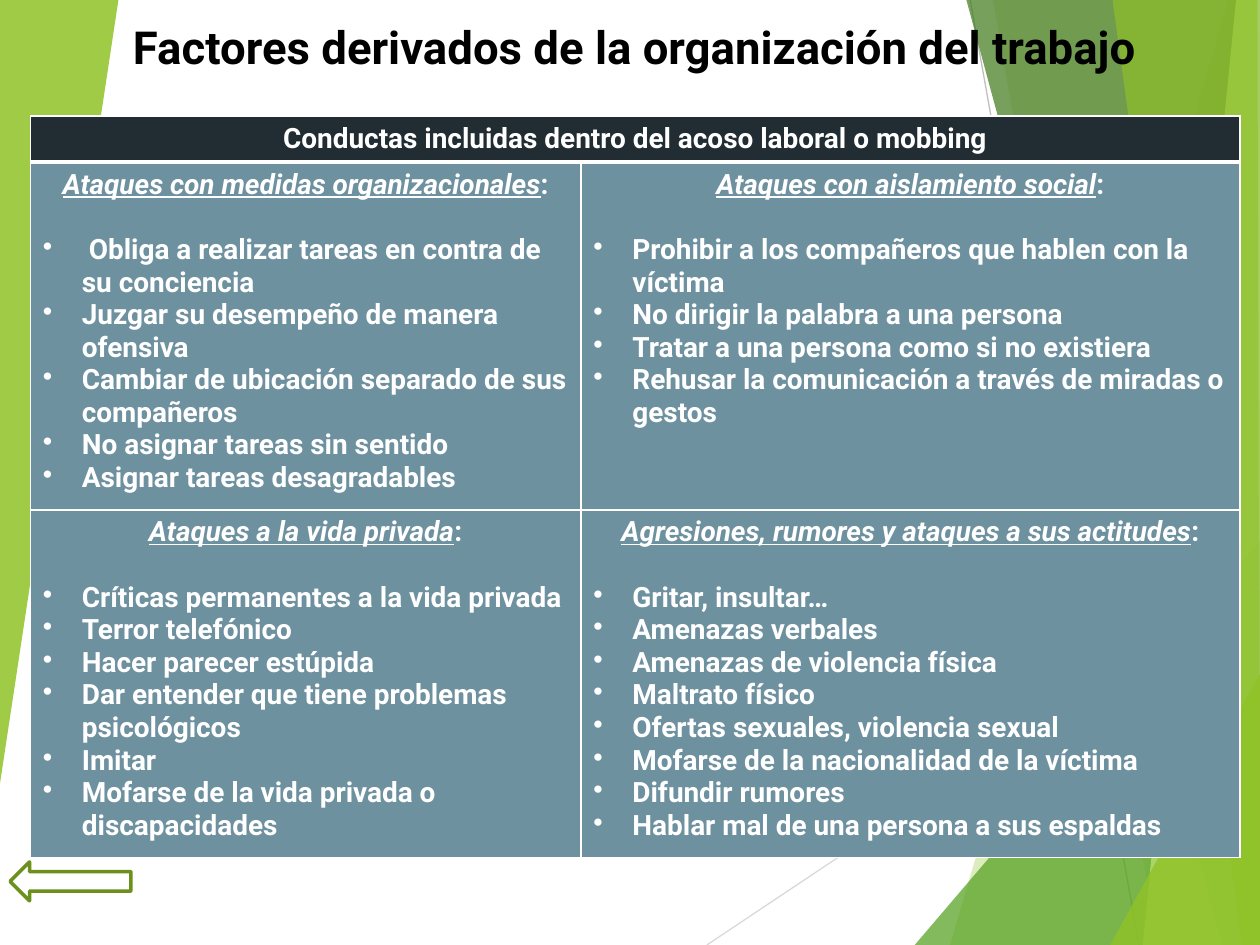
from lxml import etree
from pptx import Presentation
from pptx.dml.color import RGBColor
from pptx.enum.shapes import MSO_CONNECTOR, MSO_SHAPE
from pptx.enum.text import MSO_ANCHOR, PP_ALIGN
from pptx.oxml.ns import qn
from pptx.util import Inches, Pt

STRAIGHT = MSO_CONNECTOR.STRAIGHT
LEFT_ARROW = MSO_SHAPE.LEFT_ARROW
MIDDLE = MSO_ANCHOR.MIDDLE
CENTER = PP_ALIGN.CENTER

FONT = "Roboto"
BLACK = RGBColor(0x00, 0x00, 0x00)
WHITE = RGBColor(0xFF, 0xFF, 0xFF)
LIME = RGBColor(0x90, 0xC2, 0x26)
GREEN = RGBColor(0x54, 0xA0, 0x21)
FOREST = RGBColor(0x3F, 0x78, 0x19)
PALE_LIME = RGBColor(0xC0, 0xE4, 0x74)
OLIVE = RGBColor(0x6B, 0x90, 0x1C)
SILVER = RGBColor(0xD9, 0xD9, 0xD9)
GREY = RGBColor(0xBF, 0xBF, 0xBF)
CHARCOAL = RGBColor(0x21, 0x2D, 0x32)
SLATE = RGBColor(0x6E, 0x91, 0xA0)

W, H = 10, 7.5
TITLE = "Factores derivados de la organización del trabajo"
HEADER = "Conductas incluidas dentro del acoso laboral o mobbing"
CONDUCTS = [
    [
        ("Ataques con medidas organizacionales", [
            " Obliga a realizar tareas en contra de su conciencia",
            "Juzgar su desempeño de manera ofensiva",
            "Cambiar de ubicación separado de sus compañeros",
            "No asignar tareas sin sentido",
            "Asignar tareas desagradables",
        ]),
        ("Ataques con aislamiento social", [
            "Prohibir a los compañeros que hablen con la víctima",
            "No dirigir la palabra a una persona",
            "Tratar a una persona como si no existiera",
            "Rehusar la comunicación a través de miradas o gestos",
        ]),
    ],
    [
        ("Ataques a la vida privada", [
            "Críticas permanentes a la vida privada",
            "Terror telefónico",
            "Hacer parecer estúpida",
            "Dar entender que tiene problemas psicológicos",
            "Imitar",
            "Mofarse de la vida privada o discapacidades",
        ]),
        ("Agresiones, rumores y ataques a sus actitudes", [
            "Gritar, insultar…",
            "Amenazas verbales",
            "Amenazas de violencia física",
            "Maltrato físico",
            "Ofertas sexuales, violencia sexual",
            "Mofarse de la nacionalidad de la víctima",
            "Difundir rumores",
            "Hablar mal de una persona a sus espaldas",
        ]),
    ],
]
COLUMNS = [4.37, 5.23]
ROWS = [0.36, 2.68, 2.68]

RAYS = [((5.61, H), (W, 4.57), SILVER), ((7.7, 0), (9.04, H), GREY)]
FACETS = [
    ([(9.75, 0), (7.54, H), (W, H), (W, 0)], LIME, 30),
    ([(7.88, 0), (9.19, H), (W, H), (W, 0)], LIME, 20),
    ([(7.26, H), (W, 4.29), (W, H)], GREEN, 72),
    ([(7.67, 0), (9.7, H), (W, H), (W, 0)], FOREST, 70),
    ([(9.81, 0), (9.07, H), (W, H), (W, 0)], PALE_LIME, 70),
    ([(8.83, 0), (9.86, H), (W, H), (9.98, 0)], LIME, 65),
    ([(8.81, H), (W, 5.35), (W, H)], LIME, 80),
    ([(0, 0), (0.94, 0), (0, 6.22)], LIME, 85),
]


def add_ray(slide, start, end, color):
    ray = slide.shapes.add_connector(STRAIGHT, *map(Inches, start + end))
    ray.line.color.rgb = color
    ray.line.width = Pt(0.75)
    etree.SubElement(ray._element.spPr, qn("a:effectLst"))


def add_facet(slide, points, color, opacity):
    corners = [(Inches(x), Inches(y)) for x, y in points]
    outline = slide.shapes.build_freeform(*corners[0])
    outline.add_line_segments(corners[1:], close=True)
    facet = outline.convert_to_shape()
    facet.shadow.inherit = False
    facet.line.fill.background()
    facet.fill.solid()
    facet.fill.fore_color.rgb = color
    tint = facet._element.spPr.find(".//" + qn("a:srgbClr"))
    etree.SubElement(tint, qn("a:alpha"), val=str(opacity * 1000))


def format_run(run, size, color):
    run.font.name = FONT
    run.font.size = Pt(size)
    run.font.bold = True
    run.font.color.rgb = color


def style_cell(cell, color, top=1, bottom=1):
    properties = cell._tc.get_or_add_tcPr()
    for side, width in (("L", 1), ("R", 1), ("T", top), ("B", bottom)):
        border = etree.SubElement(properties, qn("a:ln" + side), w=str(Pt(width)))
        paint = etree.SubElement(border, qn("a:solidFill"))
        etree.SubElement(paint, qn("a:srgbClr"), val=str(WHITE))
    cell.fill.solid()
    cell.fill.fore_color.rgb = color


def fill_conduct(cell, heading, examples):
    frame = cell.text_frame
    frame.text = "\n".join([heading] + examples)
    title, *items = frame.paragraphs
    title.alignment = CENTER
    title.space_after = Pt(18.75)
    title.runs[0].font.italic = True
    title.runs[0].font.underline = True
    title.add_run().text = ":"
    for item in items:
        properties = item._p.get_or_add_pPr()
        properties.set("marL", str(Inches(0.31)))
        properties.set("indent", str(-Inches(0.31)))
        etree.SubElement(properties, qn("a:buChar"), char="•")
    for paragraph in frame.paragraphs:
        for run in paragraph.runs:
            format_run(run, 16, WHITE)


def add_conducts(slide):
    table = slide.shapes.add_table(
        len(ROWS), len(COLUMNS), Inches(0.24), Inches(0.92),
        Inches(sum(COLUMNS)), Inches(sum(ROWS))).table
    for column, width in zip(table.columns, COLUMNS):
        column.width = Inches(width)
    for row, height in zip(table.rows, ROWS):
        row.height = Inches(height)
    header = table.cell(0, 0)
    header.merge(table.cell(0, 1))
    for c in range(len(COLUMNS)):
        style_cell(table.cell(0, c), CHARCOAL, bottom=3)
    header.text_frame.text = HEADER
    header.text_frame.paragraphs[0].alignment = CENTER
    format_run(header.text_frame.paragraphs[0].runs[0], 16, WHITE)
    for r, groups in enumerate(CONDUCTS, 1):
        for c, (heading, examples) in enumerate(groups):
            cell = table.cell(r, c)
            style_cell(cell, SLATE, top=3 if r == 1 else 1)
            fill_conduct(cell, heading, examples)


def main():
    deck = Presentation()
    deck.slide_width, deck.slide_height = Inches(W), Inches(H)
    slide = deck.slides.add_slide(deck.slide_layouts[6])
    for ray in RAYS:
        add_ray(slide, *ray)
    for facet in FACETS:
        add_facet(slide, *facet)

    title = slide.shapes.add_textbox(*map(Inches, (0.08, 0.05, 9.92, 0.63))).text_frame
    title.word_wrap = True
    title.vertical_anchor = MIDDLE
    title.text = TITLE
    title.paragraphs[0].alignment = CENTER
    format_run(title.paragraphs[0].runs[0], 26, BLACK)

    back = slide.shapes.add_shape(LEFT_ARROW, *map(Inches, (0.08, 6.84, 0.96, 0.31)))
    back.shadow.inherit = False
    back.fill.background()
    back.line.color.rgb = OLIVE
    back.line.width = Pt(2)

    add_conducts(slide)
    deck.save("out.pptx")


if __name__ == "__main__":
    main()
